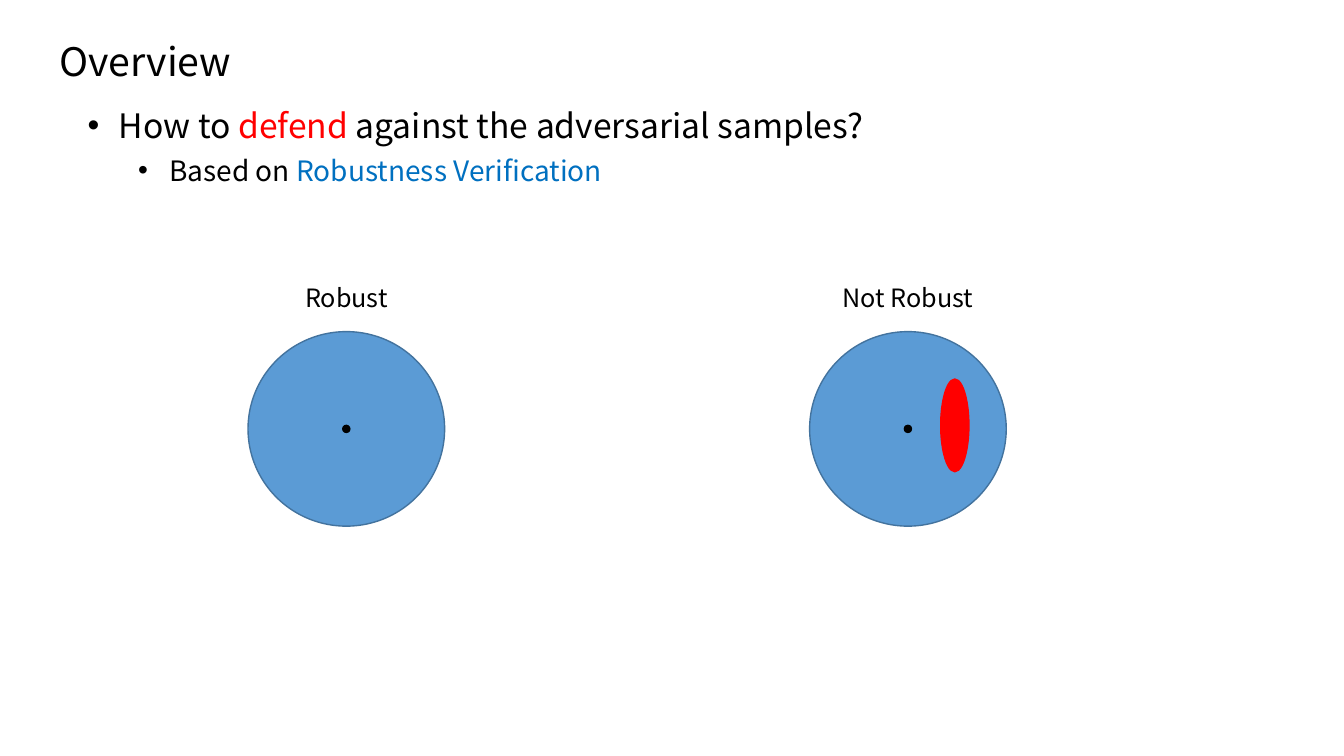
from lxml.etree import SubElement
from pptx import Presentation
from pptx.dml.color import RGBColor
from pptx.enum.shapes import MSO_SHAPE
from pptx.enum.text import MSO_ANCHOR, MSO_AUTO_SIZE, PP_ALIGN
from pptx.oxml.ns import qn
from pptx.util import Inches, Pt

FONT = "Noto Sans CJK SC"
BLACK, RED, BLUE = "000000", "FF0000", "0070C0"
REGION_FILL, REGION_LINE = "5B9BD5", "43739E"

# Geometry in inches: the two diagrams share one layout around their centres
ROBUST_X, NOT_ROBUST_X = 3.435, 9.005
CENTRE_Y = 4.255
REGION_SIZE = (1.95, 1.93)
SAMPLE_SIZE = (0.07, 0.07)
ADVERSARIAL_SIZE = (0.28, 0.92)
CAPTION_SIZE = (2.21, 0.4)
CAPTION_RISE = 1.3


def color(hex_code):
    return RGBColor.from_string(hex_code)


def centred(x, y, size):
    """Left, top, width and height of a box around a centre."""
    width, height = size
    return [Inches(value) for value in (x - width / 2, y - height / 2, width, height)]


def place(shape, left, top, width, height):
    shape.left, shape.top = Inches(left), Inches(top)
    shape.width, shape.height = Inches(width), Inches(height)


def prepare_frame(frame):
    frame.word_wrap = True
    frame.auto_size = MSO_AUTO_SIZE.NONE
    frame.vertical_anchor = MSO_ANCHOR.TOP


def write_para(para, pieces, size, align=PP_ALIGN.LEFT):
    """Fill a paragraph with (text, colour) pieces."""
    para.alignment = align
    para.space_before = Pt(0)
    para.font.size = Pt(size)
    para.font.name = FONT
    for text, hex_code in pieces:
        span = para.add_run()
        span.text = text
        span.font.color.rgb = color(hex_code)


def add_bullet(para, level, margin, hanging=0.31):
    para.level = level
    para.line_spacing = 1.25
    properties = para._p.get_or_add_pPr()
    properties.set("marL", str(Inches(margin)))
    properties.set("indent", str(-Inches(hanging)))
    SubElement(properties, qn("a:buFont")).set("typeface", "Arial")
    SubElement(properties, qn("a:buChar")).set("char", "•")


def add_disc(shapes, kind, x, y, size, fill, line):
    disc = shapes.add_shape(kind, *centred(x, y, size))
    disc.shadow.inherit = False
    disc.fill.solid()
    disc.fill.fore_color.rgb = color(fill)
    disc.line.color.rgb = color(line)
    disc.line.width = Pt(1)


def add_diagram(slide, caption, x):
    """A captioned region with its sample in the middle."""
    group = slide.shapes.add_group_shape()
    circle = MSO_SHAPE.FLOWCHART_CONNECTOR
    add_disc(group.shapes, circle, x, CENTRE_Y, REGION_SIZE, REGION_FILL, REGION_LINE)
    add_disc(group.shapes, circle, x, CENTRE_Y, SAMPLE_SIZE, BLACK, BLACK)
    box = group.shapes.add_textbox(*centred(x, CENTRE_Y - CAPTION_RISE, CAPTION_SIZE))
    prepare_frame(box.text_frame)
    write_para(box.text_frame.paragraphs[0], [(caption, BLACK)], 18, PP_ALIGN.CENTER)


def main():
    deck = Presentation()
    deck.slide_width, deck.slide_height = Inches(13.33), Inches(7.5)
    slide = deck.slides.add_slide(deck.slide_layouts[1])

    # Title
    title = slide.shapes.title
    place(title, 0.49, 0.32, 9.47, 0.57)
    prepare_frame(title.text_frame)
    write_para(title.text_frame.paragraphs[0], [("Overview", BLACK)], 28)

    # Question and answer
    body = slide.placeholders[1]
    place(body, 0.77, 0.89, 11.02, 0.98)
    prepare_frame(body.text_frame)
    question = body.text_frame.paragraphs[0]
    add_bullet(question, 0, 0.31)
    write_para(question, [("How to ", BLACK), ("defend", RED),
                          (" against the adversarial samples?", BLACK)], 24)
    answer = body.text_frame.add_paragraph()
    add_bullet(answer, 1, 0.81)
    write_para(answer, [("Based on ", BLACK), ("Robustness Verification", BLUE)], 20)

    # Robust and not robust regions
    add_diagram(slide, "Robust", ROBUST_X)
    add_diagram(slide, "Not Robust", NOT_ROBUST_X)

    # Adversarial samples inside the second region
    add_disc(slide.shapes, MSO_SHAPE.OVAL, NOT_ROBUST_X + 0.465, CENTRE_Y - 0.035,
             ADVERSARIAL_SIZE, RED, RED)

    deck.save("out.pptx")


if __name__ == "__main__":
    main()
